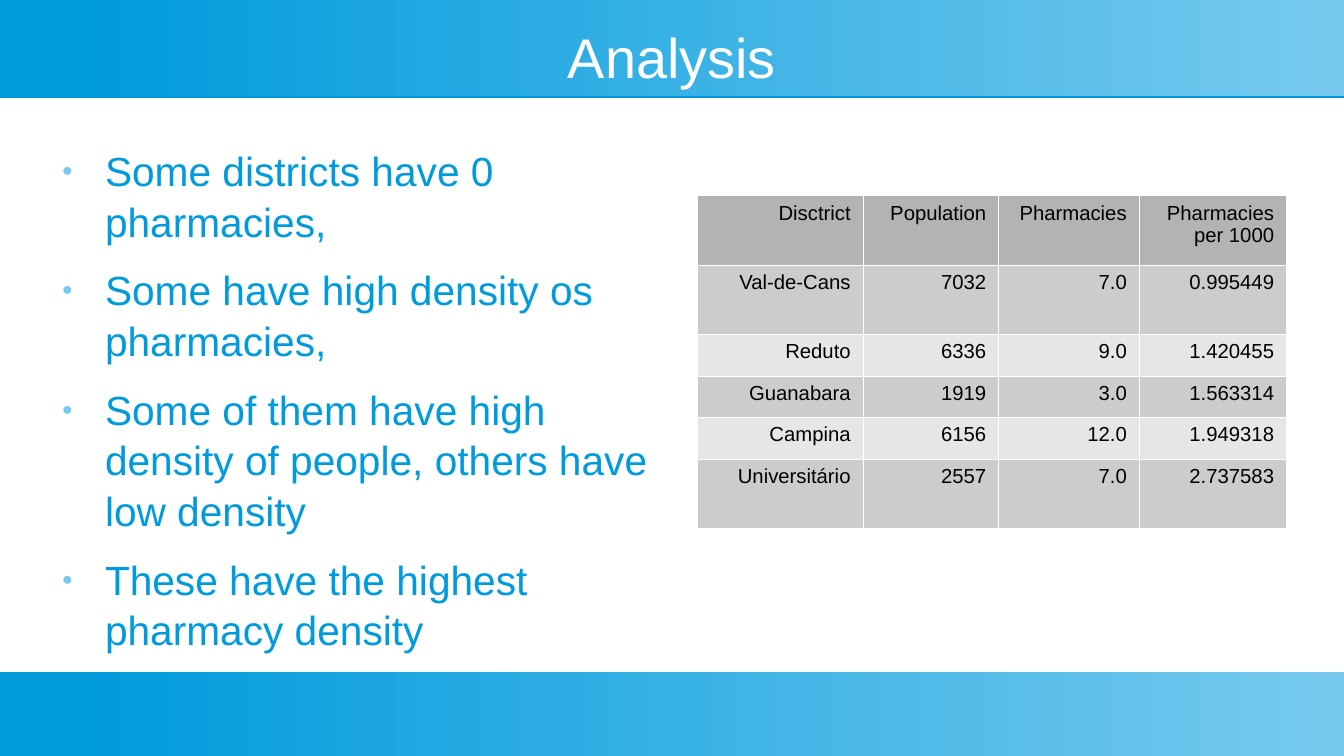
from lxml import etree
from pptx import Presentation
from pptx.dml.color import RGBColor
from pptx.enum.shapes import MSO_SHAPE
from pptx.enum.text import MSO_ANCHOR, MSO_AUTO_SIZE, PP_ALIGN
from pptx.oxml.ns import qn
from pptx.util import Pt

TITLE = "Analysis"
POINTS = [
    "Some districts have 0 pharmacies,",
    "Some have high density os pharmacies,",
    "Some of them have high density of people, others have low density",
    "These have the highest pharmacy density",
]
TABLE = [
    ("Disctrict", "Population", "Pharmacies", "Pharmacies per 1000"),
    ("Val-de-Cans", "7032", "7.0", "0.995449"),
    ("Reduto", "6336", "9.0", "1.420455"),
    ("Guanabara", "1919", "3.0", "1.563314"),
    ("Campina", "6156", "12.0", "1.949318"),
    ("Universitário", "2557", "7.0", "2.737583"),
]
COL_WIDTHS = [98, 80, 83, 87]
ROW_HEIGHTS = [41, 41, 24.5, 24.5, 24.5, 41]
WIDTH, HEIGHT = 793.5, 446.5
BARS = [(0, 57), (396.75, 49.75)]  # top, height

BLUE = RGBColor(0x00, 0x9B, 0xDD)
SKY = RGBColor(0x77, 0xCA, 0xEE)
WHITE = RGBColor(0xFF, 0xFF, 0xFF)
BLACK = RGBColor(0x00, 0x00, 0x00)
HEADER = RGBColor(0xB3, 0xB3, 0xB3)
BANDS = [RGBColor(0xCC, 0xCC, 0xCC), RGBColor(0xE6, 0xE6, 0xE6)]
FONT = "Arial"
RECT = MSO_SHAPE.RECTANGLE
CENTER, RIGHT = PP_ALIGN.CENTER, PP_ALIGN.RIGHT
TOP, MIDDLE = MSO_ANCHOR.TOP, MSO_ANCHOR.MIDDLE
NO_FIT = MSO_AUTO_SIZE.NONE


def add(parent, tag, **attrs):
    return etree.SubElement(parent, qn(tag), attrs)


def set_font(p, size, color):
    p.font.name, p.font.size = FONT, Pt(size)
    p.font.color.rgb = color


def place(sp, left, top, width, height, anchor):
    """Move a placeholder and strip its text insets and autofit."""
    sp.left, sp.top, sp.width, sp.height = map(Pt, (left, top, width, height))
    tf = sp.text_frame
    tf.margin_left = tf.margin_right = tf.margin_top = tf.margin_bottom = 0
    tf.word_wrap, tf.auto_size, tf.vertical_anchor = True, NO_FIT, anchor
    return tf


def add_bar(s, top, height):
    """Gradient band behind the title, with a thin blue shadow below it."""
    sp = s.shapes.add_shape(RECT, 0, Pt(top), Pt(WIDTH), Pt(height))
    sp.line.fill.background()
    sp.fill.gradient()
    sp.fill.gradient_angle = 0
    for stop, position, color in zip(sp.fill.gradient_stops, (0.06, 1), (BLUE, SKY)):
        stop.position, stop.color.rgb = position, color
    sp.shadow.inherit = False
    effects = sp.element.spPr.find(qn("a:effectLst"))
    shadow = add(effects, "a:outerShdw", blurRad="0", dist=str(Pt(0.9)),
                 dir="5400000", algn="ctr", rotWithShape="0")
    add(shadow, "a:srgbClr", val=str(BLUE))
    s.shapes.title.element.addprevious(sp.element)


def add_bullet(p):
    pPr = p._p.get_or_add_pPr()
    pPr.set("marL", str(Pt(34)))
    pPr.set("indent", str(Pt(-25.5)))
    add(add(pPr, "a:buClr"), "a:srgbClr", val=str(SKY))
    add(pPr, "a:buSzPct", val="45000")
    add(pPr, "a:buFont", typeface=FONT)
    add(pPr, "a:buChar", char="●")


def add_borders(cell):
    tcPr = cell._tc.get_or_add_tcPr()
    for side in "LRTB":
        ln = add(tcPr, f"a:ln{side}", w=str(Pt(0.06)))
        add(add(ln, "a:solidFill"), "a:srgbClr", val=str(WHITE))


def add_table(s, left, top):
    frame = s.shapes.add_table(len(TABLE), len(COL_WIDTHS), Pt(left), Pt(top),
                               Pt(sum(COL_WIDTHS)), Pt(sum(ROW_HEIGHTS)))
    table = frame.table
    table.first_row = table.horz_banding = False
    for column, width in zip(table.columns, COL_WIDTHS):
        column.width = Pt(width)
    for i, (row, height, values) in enumerate(zip(table.rows, ROW_HEIGHTS, TABLE)):
        row.height = Pt(height)
        for cell, value in zip(row.cells, values):
            add_borders(cell)
            cell.fill.solid()
            cell.fill.fore_color.rgb = BANDS[(i - 1) % 2] if i else HEADER
            cell.text = value
            p = cell.text_frame.paragraphs[0]
            p.alignment = RIGHT
            set_font(p, 12, BLACK)


def main():
    prs = Presentation()
    prs.slide_width, prs.slide_height = Pt(WIDTH), Pt(HEIGHT)
    s = prs.slides.add_slide(prs.slide_layouts[1])
    for top, height in BARS:
        add_bar(s, top, height)

    tf = place(s.shapes.title, 28, 14.5, 737.5, 37.5, MIDDLE)
    tf.text = TITLE
    p = tf.paragraphs[0]
    p.alignment = CENTER
    set_font(p, 33, WHITE)

    tf = place(s.placeholders[1], 28, 85, 359.5, 283.5, TOP)
    tf.text = "\n".join(POINTS)
    for i, p in enumerate(tf.paragraphs):
        add_bullet(p)
        p.line_spacing = 1.04
        p.space_before = Pt(10.6 if i else 0)
        set_font(p, 24, BLUE)

    add_table(s, 411.5, 115.5)
    prs.save("out.pptx")


if __name__ == "__main__":
    main()
